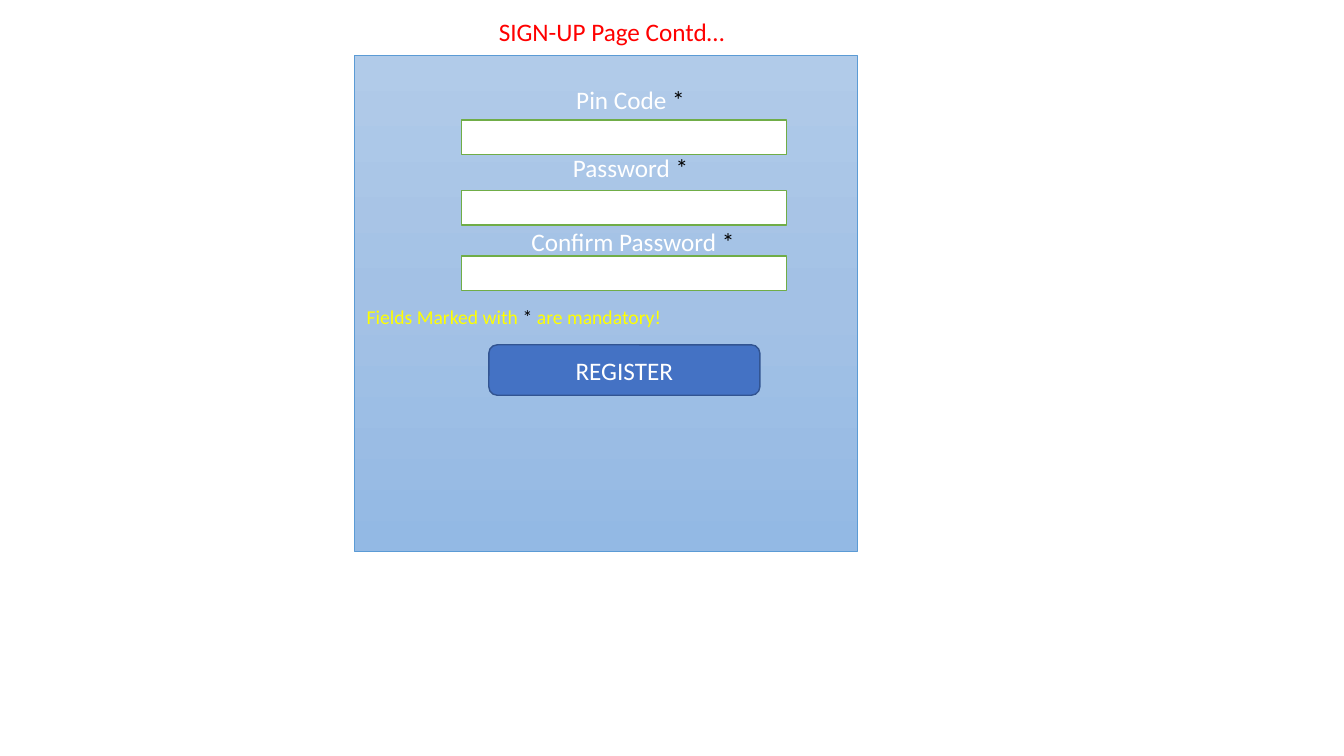
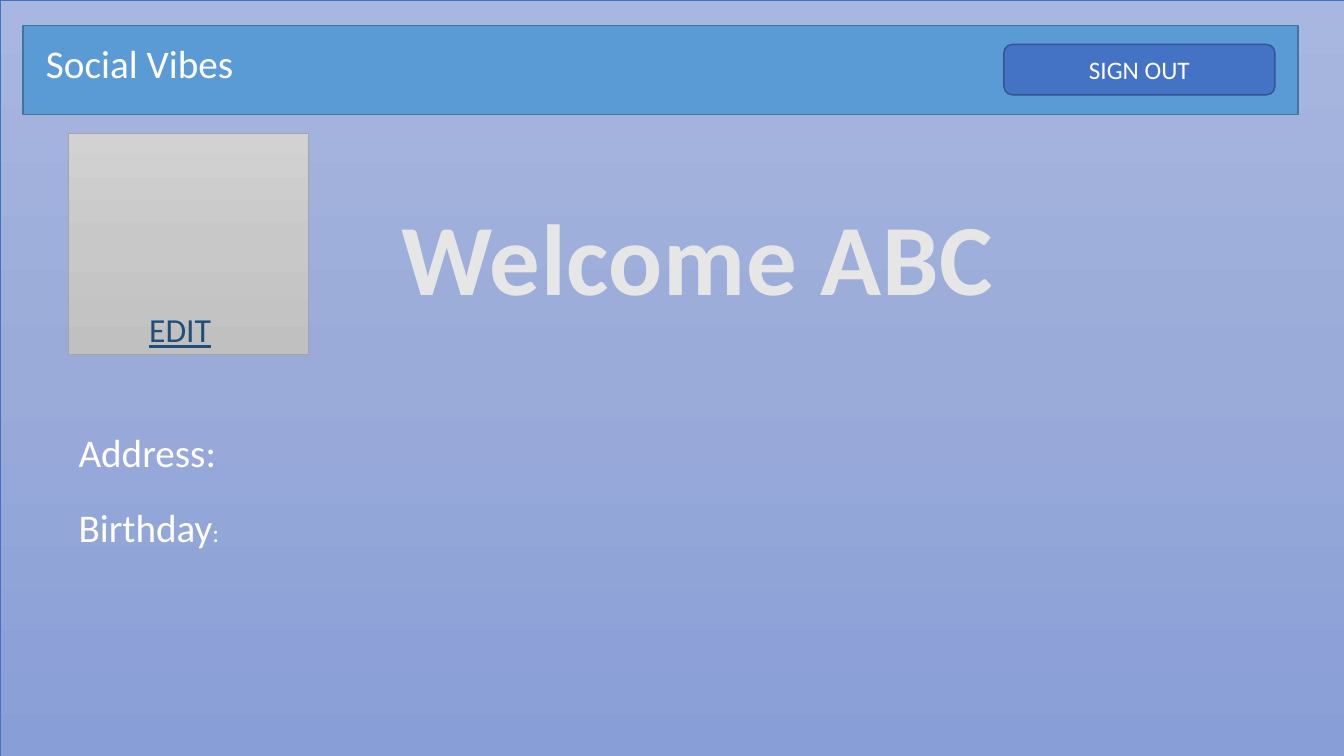
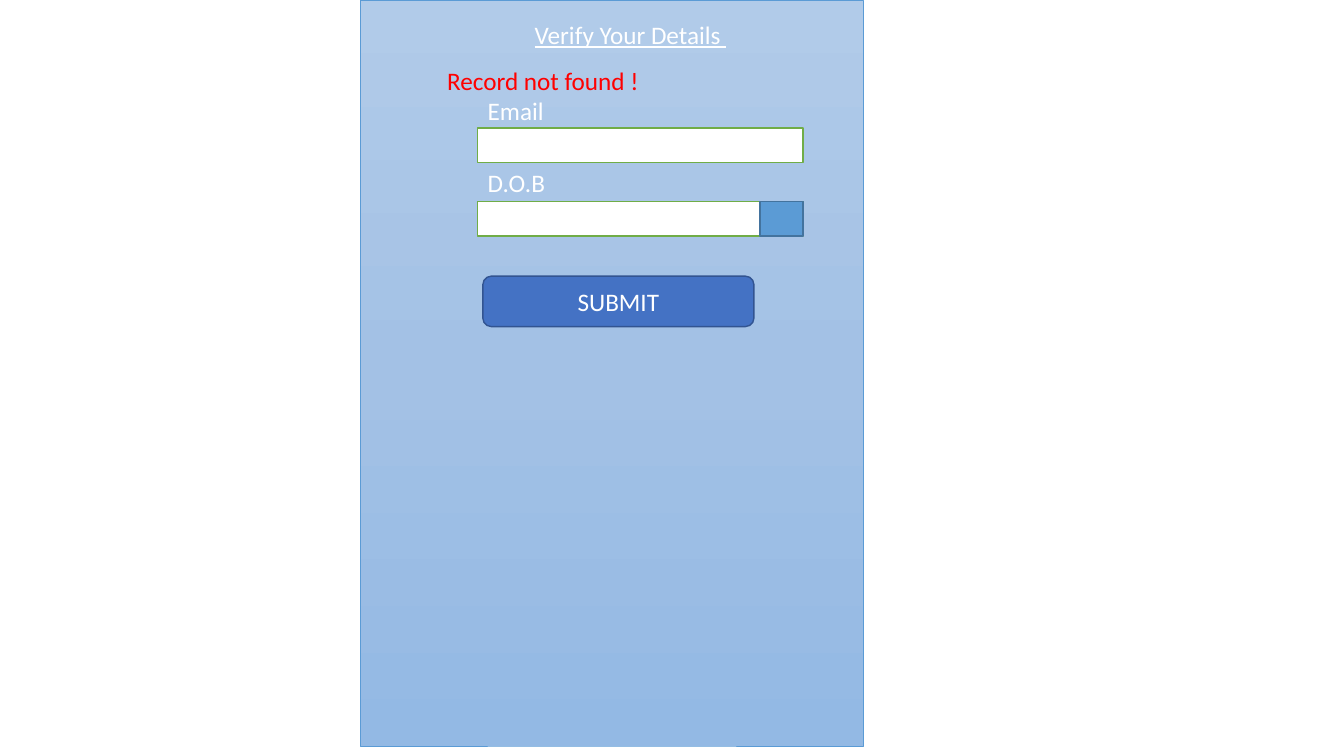
from copy import deepcopy

from pptx import Presentation
from pptx.dml.color import RGBColor
from pptx.enum.shapes import MSO_SHAPE
from pptx.enum.text import MSO_ANCHOR, MSO_AUTO_SIZE, PP_ALIGN
from pptx.oxml.ns import qn
from pptx.util import Cm, Pt

RECT, ROUND = MSO_SHAPE.RECTANGLE, MSO_SHAPE.ROUNDED_RECTANGLE
LEFT, CENTER = PP_ALIGN.LEFT, PP_ALIGN.CENTER
MIDDLE, GROW = MSO_ANCHOR.MIDDLE, MSO_AUTO_SIZE.SHAPE_TO_FIT_TEXT


class Theme:
    """Colours, type sizes and shape styles shared by all slides."""
    font = "Calibri"
    note, body, link, head, hero = 14, 18, 24, 28, 72
    white, black, red, yellow = "FFFFFF", "000000", "FF0000", "FFFF00"
    navy, pale = "1F4E79", "E7E6E6"
    # Style: fill colours from top to bottom, line colour, line width
    panel = (["B1CBE9", "A3C1E5", "93B9E4"], "5B9BD5", 0.5)
    page = (["A8B7DF", "9AABD9", "889ED7"], "4472C4", 0.5)
    photo = (["D2D2D2", "C8C8C8", "C0C0C0"], "A5A5A5", 0.5)
    field = (["FFFFFF"], "70AD47", 1)
    bar = (["5B9BD5"], "43739E", 1)
    button = (["4472C4"], "325491", 1)


def block(slide, at, style, kind=RECT, text=""):
    """Draw a filled shape, with a centred caption if text is given."""
    fills, edge, width = style
    shape = slide.shapes.add_shape(kind, *map(Cm, at))
    shape.shadow.inherit = False
    shape.line.color.rgb = RGBColor.from_string(edge)
    shape.line.width = Pt(width)
    if len(fills) == 1:
        shape.fill.solid()
        shape.fill.fore_color.rgb = RGBColor.from_string(fills[0])
    else:
        shape.fill.gradient()
        shape.fill.gradient_angle = 270
        stops = shape.element.spPr.find(".//" + qn("a:gsLst"))
        stops.insert(1, deepcopy(stops[0]))
        for i, stop in enumerate(shape.fill.gradient_stops):
            stop.position = i / 2
            stop.color.rgb = RGBColor.from_string(fills[i])
    if text:
        shape.text_frame.vertical_anchor = MIDDLE
        para = shape.text_frame.paragraphs[0]
        para.text, para.alignment = text, CENTER
        para.font.name, para.font.size = Theme.font, Pt(Theme.body)
        para.font.color.rgb = RGBColor.from_string(Theme.white)


def label(slide, at, parts, size=Theme.body, align=LEFT):
    """Add one line of text from (text, colour) parts; return its paragraph."""
    frame = slide.shapes.add_textbox(*map(Cm, at)).text_frame
    frame.word_wrap, frame.auto_size = True, GROW
    para = frame.paragraphs[0]
    para.alignment = align
    para.font.name, para.font.size = Theme.font, Pt(size)
    for text, colour in parts:
        run = para.add_run()
        run.text = text
        run.font.color.rgb = RGBColor.from_string(colour)
    return para


deck = Presentation()
deck.slide_width, deck.slide_height = Cm(33.87), Cm(19.05)
blank = deck.slide_layouts[6]
field = (8.2, 0.87)
button = (6.83, 1.27)

# Sign-up form
sign = deck.slides.add_slide(blank)
block(sign, (8.94, 1.4, 12.67, 12.5), Theme.panel)
label(sign, (12.32, 0.28, 7.65, 1.02), [("SIGN-UP Page Contd…", Theme.red)])
for name, left, top, width, down in [
    ("Pin Code ", 13.21, 2.01, 5.36, 3.02),
    ("Password ", 13.21, 3.71, 5.36, 4.8),
    ("Confirm Password ", 12.98, 5.59, 5.94, 6.45),
]:
    block(sign, (11.63, down, *field), Theme.field)
    label(sign, (left, top, width, 1.02),
          [(name, Theme.white), ("*", Theme.black)], align=CENTER)
label(sign, (8.99, 7.57, 10.16, 0.86),
      [("Fields Marked with ", Theme.yellow), ("* ", Theme.black),
       ("are mandatory!", Theme.yellow)], Theme.note)
block(sign, (12.32, 8.69, *button), Theme.button, ROUND, "REGISTER")

# Welcome page
home = deck.slides.add_slide(blank)
block(home, (0, 0, 33.87, 19.05), Theme.page)
block(home, (1.73, 3.35, 6.05, 5.59), Theme.photo)
block(home, (0.58, 0.64, 32.13, 2.24), Theme.bar)
block(home, (25.3, 1.12, *button), Theme.button, ROUND, "SIGN OUT")
label(home, (0.91, 0.86, 9.78, 1.45), [("Social Vibes", Theme.white)], Theme.head)
hero = label(home, (9.86, 4.78, 20.45, 3.33), [("Welcome ABC", Theme.pale)], Theme.hero)
hero.font.bold = True
hero.runs[0].font._element.set("spc", "50")
edit = label(home, (3.51, 7.67, 3.86, 1.27), [("EDIT", Theme.navy)], Theme.link)
edit.font.underline = True
label(home, (1.73, 10.67, 12.27, 1.45), [("Address:", Theme.white)], Theme.head)
birth = label(home, (1.73, 12.57, 12.27, 1.45),
              [("Birthday", Theme.white), (":", Theme.white)], Theme.head)
birth.runs[1].font.size = Pt(Theme.body)

# Verification form
check = deck.slides.add_slide(blank)
block(check, (9.09, 0, 12.67, 18.8), Theme.panel)
title = label(check, (12.17, 0.36, 7.44, 1.02),
              [("Verify Your Details ", Theme.white)], align=CENTER)
title.font.underline = True
label(check, (11.02, 1.52, 8.56, 1.02), [("Record not found !", Theme.red)])
for name, top, down in [("Email", 2.29, 3.23), ("D.O.B", 4.09, 5.08)]:
    block(check, (12.04, down, *field), Theme.field)
    label(check, (12.04, top, 5.56, 1.02), [(name, Theme.white)])
block(check, (19.15, 5.08, 1.09, 0.87), Theme.bar)
block(check, (12.17, 6.96, *button), Theme.button, ROUND, "SUBMIT")

deck.save("out.pptx")
